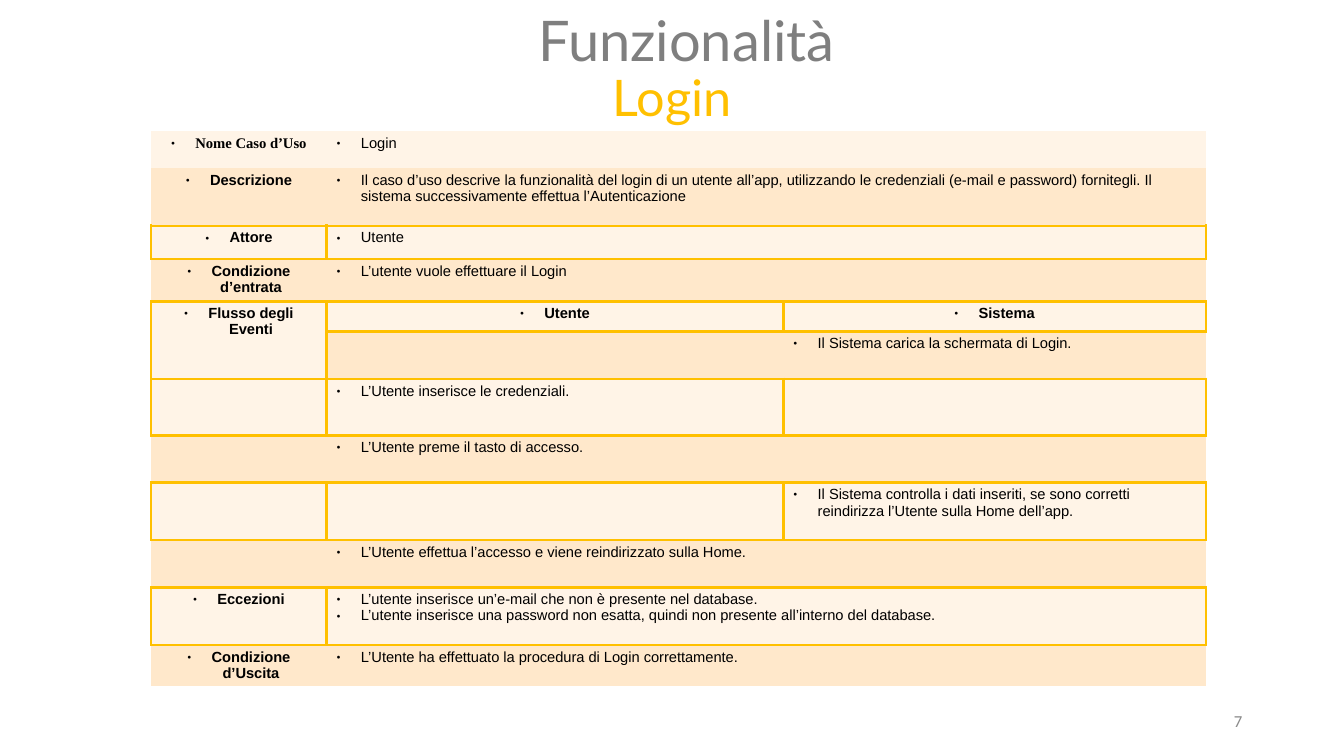
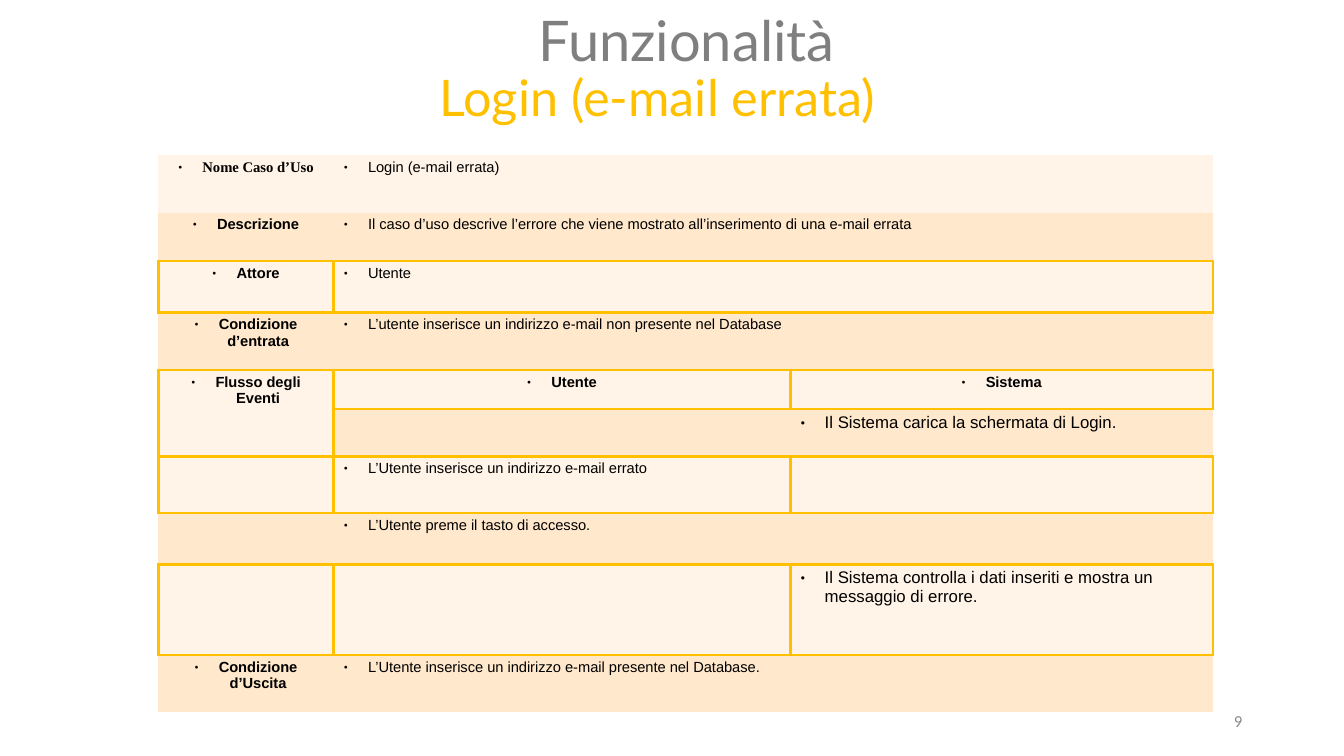
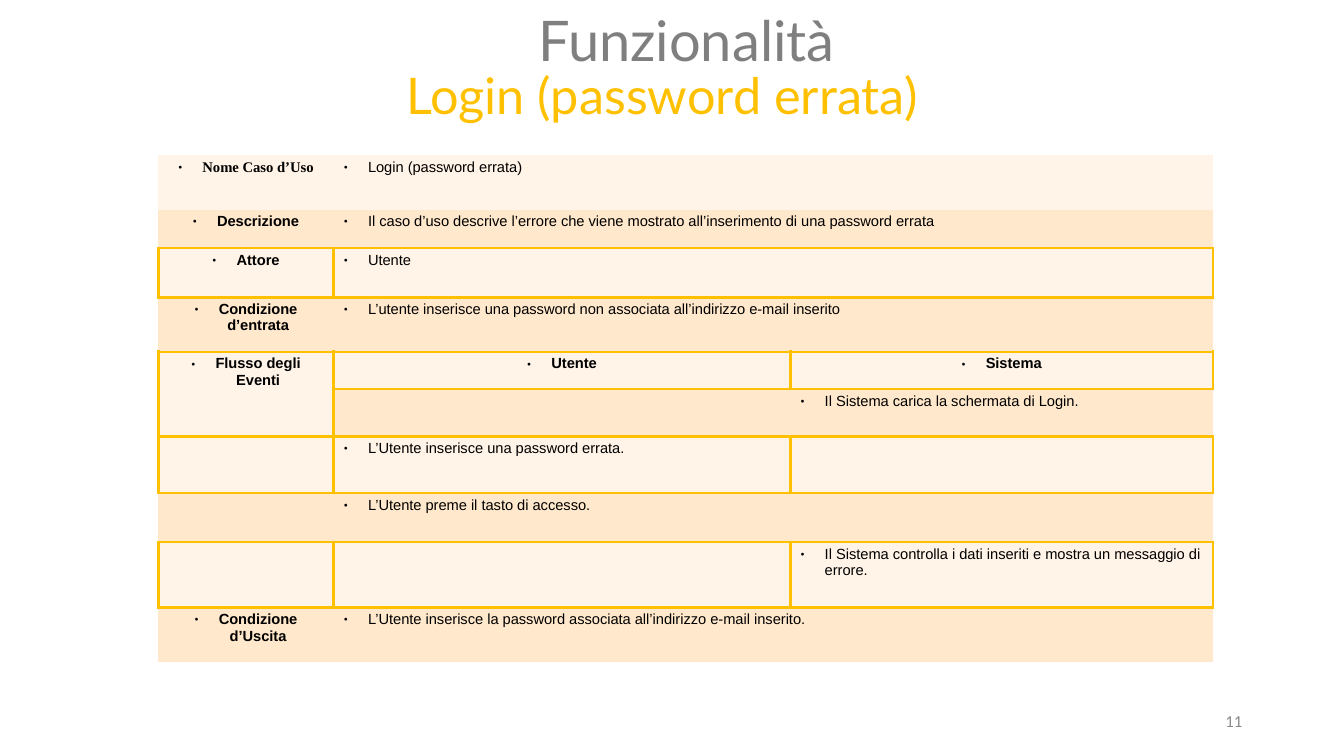
from lxml import etree
from pptx import Presentation
from pptx.dml.color import RGBColor
from pptx.enum.text import MSO_ANCHOR, MSO_AUTO_SIZE, PP_ALIGN
from pptx.oxml.ns import qn
from pptx.util import Inches, Pt

LEFT, MID, RIGHT = PP_ALIGN.LEFT, PP_ALIGN.CENTER, PP_ALIGN.RIGHT
CENTRE = MSO_ANCHOR.MIDDLE
FIXED = MSO_AUTO_SIZE.NONE

WIDE, HIGH = 13.33, 7.5
GREY, GOLD, PALE = "7F7F7F", "FFC000", "898989"
BLACK, LIGHT, DARK = "000000", "FFF4E7", "FFE8CB"
COLS = [1.74, 4.53, 4.19]
EDGE = 1.98
INDENT = 0.24
PLAIN = "{2D5ABB26-0587-4C30-8999-92F81FD0307C}"

# A flow step is (user text, system text).
LOAD = ("", "Il Sistema carica la schermata di Login.")
PRESS = ("L’Utente preme il tasto di accesso.", "")
ERROR = ("", "Il Sistema controlla i dati inseriti e mostra un messaggio di errore.")

CASES = [
    dict(
        page="7", name="Login", sub=(5.98, 0.6, 1.49), grid=(1.5, 1.3),
        rows=[0.37, 0.57, 0.33, 0.42, 0.3, 0.47, 0.56, 0.47, 0.57, 0.47, 0.57, 0.36],
        about="Il caso d’uso descrive la funzionalità del login di un utente all’app, "
              "utilizzando le credenziali (e-mail e password) fornitegli. "
              "Il sistema successivamente effettua l’Autenticazione",
        entry="L’utente vuole effettuare il Login",
        flow=[
            LOAD,
            ("L’Utente inserisce le credenziali.", ""),
            PRESS,
            ("", "Il Sistema controlla i dati inseriti, se sono corretti "
                 "reindirizza l’Utente sulla Home dell’app."),
            ("L’Utente effettua l’accesso e viene reindirizzato sulla Home.", ""),
        ],
        fails="L’utente inserisce un’e-mail che non è presente nel database.\n"
              "L’utente inserisce una password non esatta, "
              "quindi non presente all’interno del database.",
        end="L’Utente ha effettuato la procedura di Login correttamente.",
    ),
    dict(
        page="9", name="Login (e-mail errata)", sub=(4.26, 0.6, 5.1), grid=(1.57, 1.54),
        rows=[0.57, 0.48, 0.51, 0.57, 0.39, 0.47, 0.56, 0.51, 0.9, 0.57],
        about="Il caso d’uso descrive l’errore che viene mostrato "
              "all’inserimento di una e-mail errata",
        entry="L’utente inserisce un indirizzo e-mail non presente nel Database",
        flow=[LOAD, ("L’Utente inserisce un indirizzo e-mail errato", ""), PRESS, ERROR],
        size=12,
        end="L’Utente inserisce un indirizzo e-mail presente nel Database.",
    ),
    dict(
        page="11", name="Login (password errata)", sub=(3.93, 0.58, 5.77), grid=(1.57, 1.54),
        rows=[0.54, 0.38, 0.49, 0.54, 0.37, 0.47, 0.56, 0.49, 0.65, 0.54],
        about="Il caso d’uso descrive l’errore che viene mostrato "
              "all’inserimento di una password errata",
        entry="L’utente inserisce una password non associata all’indirizzo e-mail inserito",
        flow=[LOAD, ("L’Utente inserisce una password errata.", ""), PRESS, ERROR],
        end="L’Utente inserisce la password associata all’indirizzo e-mail inserito.",
    ),
]


def rgb(code):
    return RGBColor.from_string(code)


def add(node, tag, **attrs):
    return etree.SubElement(node, qn(tag), {k: str(v) for k, v in attrs.items()})


def write(frame, text, size=10.5, font="Arial", color=BLACK, bold=False,
          align=LEFT, dots=False):
    """Fill a text frame, one paragraph for each line of the text."""
    for i, line in enumerate(text.split("\n")):
        para = frame.add_paragraph() if i else frame.paragraphs[0]
        para.alignment = align
        run = para.add_run()
        run.text = line
        run.font.size, run.font.name = Pt(size), font
        run.font.bold = bold
        run.font.color.rgb = rgb(color)
        if dots:
            bullet(para)


def bullet(para):
    props = para._p.get_or_add_pPr()
    props.set("marL", str(Inches(INDENT)))
    props.set("indent", str(-Inches(INDENT)))
    add(add(props, "a:buClr"), "a:srgbClr", val=BLACK)
    add(props, "a:buSzPct", val=45000)
    add(props, "a:buFont", typeface="Arial")
    add(props, "a:buChar", char="●")


def border(cell):
    props = cell._tc.get_or_add_tcPr()
    for i, side in enumerate("LRTB"):
        line = etree.Element(qn(f"a:ln{side}"), w=str(Pt(EDGE)))
        add(add(line, "a:solidFill"), "a:srgbClr", val=GOLD)
        props.insert(i, line)


def place(shape, x, y, w, h):
    shape.left, shape.top, shape.width, shape.height = map(Inches, (x, y, w, h))


def label(slide, text, box, **style):
    shape = slide.shapes.add_textbox(*map(Inches, box))
    shape.text_frame.word_wrap = True
    shape.text_frame.vertical_anchor = CENTRE
    write(shape.text_frame, text, **style)


def heading(slide, case):
    title = slide.shapes.title
    place(title, 5.06, 0, 3.5, 0.77)
    title.text_frame.auto_size = FIXED
    title.text_frame.vertical_anchor = CENTRE
    write(title.text_frame, "Funzionalità", size=40, font="Lato", color=GREY, align=MID)
    label(slide, case["name"], (*case["sub"], 0.71), size=36, font="Lato", color=GOLD)


def lines(case):
    """List the table rows; a row of two texts spans the last two columns."""
    rows = [
        ("Nome Caso d’Uso", case["name"]),
        ("Descrizione", case["about"]),
        ("Attore", "Utente"),
        ("Condizione d’entrata", case["entry"]),
        ("Flusso degli Eventi", "Utente", "Sistema"),
    ]
    rows += [("", *step) for step in case["flow"]]
    if "fails" in case:
        rows.append(("Eccezioni", case["fails"]))
    return rows + [("Condizione d’Uscita", case["end"])]


def grid(slide, case):
    high = case["rows"]
    x, y = case["grid"]
    box = map(Inches, (x, y, sum(COLS), sum(high)))
    table = slide.shapes.add_table(len(high), len(COLS), *box).table
    table.first_row = table.horz_banding = False
    table._tbl.tblPr.find(qn("a:tableStyleId")).text = PLAIN
    for col, width in zip(table.columns, COLS):
        col.width = Inches(width)
    for r, texts in enumerate(lines(case)):
        table.rows[r].height = Inches(high[r])
        if len(texts) == 2:
            table.cell(r, 1).merge(table.cell(r, 2))
        head = len(texts) == 3 and bool(texts[0])
        if head:
            table.cell(r, 0).merge(table.cell(r + 1, 0))
        for c in range(len(COLS)):
            cell = table.cell(r, c)
            cell.margin_top = cell.margin_bottom = Inches(0.04)
            cell.fill.solid()
            cell.fill.fore_color.rgb = rgb(DARK if r % 2 else LIGHT)
            if r and r % 2 == 0:
                border(cell)
            if c < len(texts) and texts[c]:
                strong = c == 0 or head
                write(cell.text_frame, texts[c], bold=strong, dots=True,
                      size=case.get("size", 10.5) if c == 2 and not head else 10.5,
                      font="Times New Roman" if r == c == 0 else "Arial",
                      align=MID if strong else LEFT)


def main():
    deck = Presentation()
    deck.slide_width, deck.slide_height = Inches(WIDE), Inches(HIGH)
    for case in CASES:
        slide = deck.slides.add_slide(deck.slide_layouts.get_by_name("Title Only"))
        grid(slide, case)
        heading(slide, case)
        label(slide, case["page"], (9.42, 6.95, 3, 0.4),
              size=12, font="Calibri", color=PALE, align=RIGHT)
    deck.save("out.pptx")


if __name__ == "__main__":
    main()
